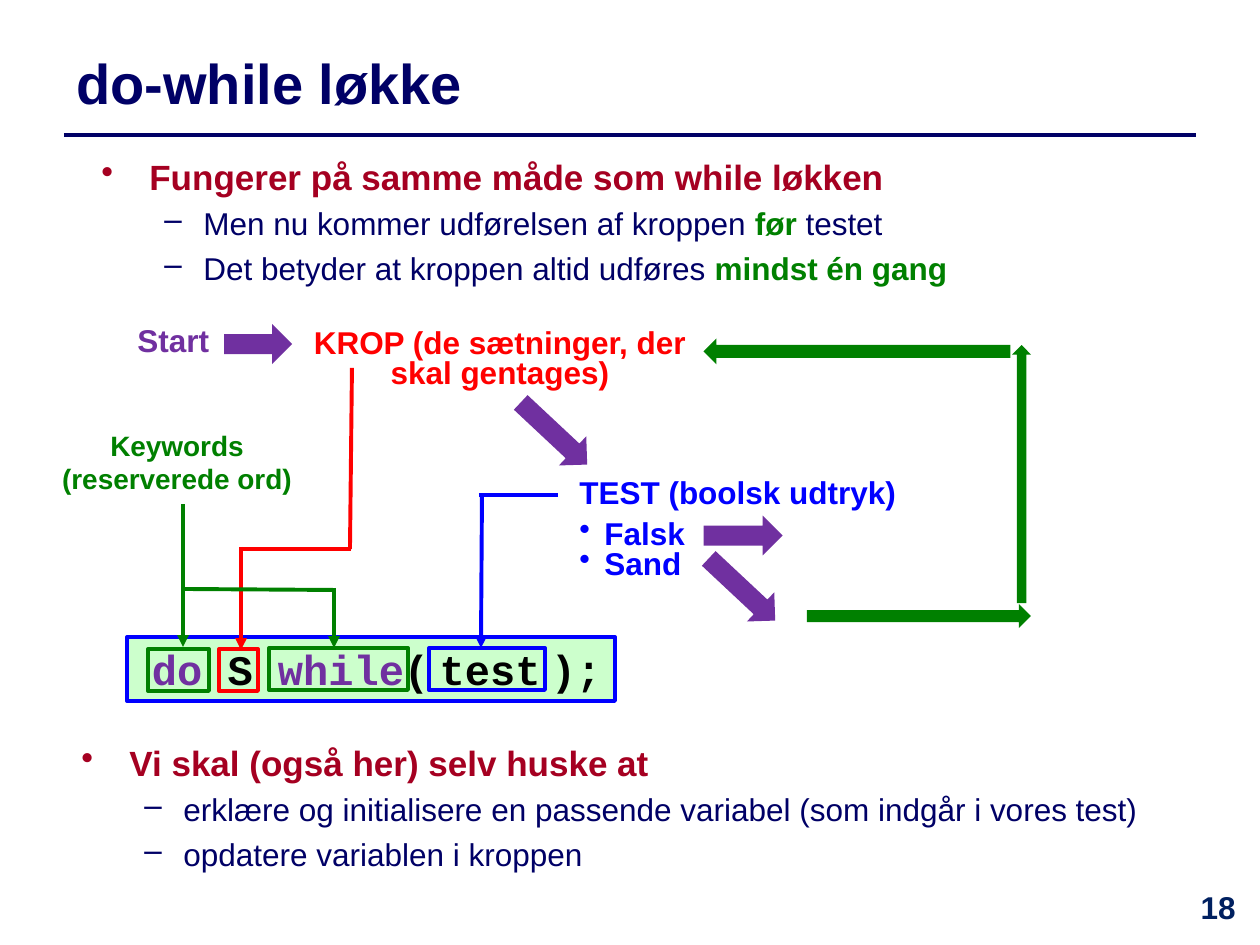
from lxml import etree
from pptx import Presentation
from pptx.dml.color import RGBColor
from pptx.enum.shapes import MSO_CONNECTOR, MSO_SHAPE
from pptx.enum.text import MSO_ANCHOR, PP_ALIGN
from pptx.oxml.ns import qn
from pptx.util import Pt

PX = 914400 / 126
RECTANGLE, DOWN_ARROW = MSO_SHAPE.RECTANGLE, MSO_SHAPE.DOWN_ARROW
STRAIGHT = MSO_CONNECTOR.STRAIGHT
LEFT, CENTER, MIDDLE = PP_ALIGN.LEFT, PP_ALIGN.CENTER, MSO_ANCHOR.MIDDLE
NAVY, CRIMSON, GREEN, BLUE = "000066", "A50021", "008000", "0000FF"
RED, PURPLE, BLACK = "FF0000", "7030A0", "000000"
INDENTS = {"main": ("•", 48, 48, 0), "sub": ("–", 102, 39, 1), "choice": ("•", 25, 25, 0)}

color = RGBColor.from_string


def px(*lengths):
    return [round(length * PX) for length in lengths]


def write(frame, paragraphs, align=LEFT, font="Arial"):
    frame.word_wrap = True
    for i, (level, before, spacing, runs) in enumerate(paragraphs):
        paragraph = frame.paragraphs[0] if i == 0 else frame.add_paragraph()
        paragraph.alignment = align
        paragraph.space_before = Pt(before)
        paragraph.line_spacing = spacing
        if level:
            mark, margin, hanging, depth = INDENTS[level]
            paragraph.level = depth
            properties = paragraph._p.get_or_add_pPr()
            properties.set("marL", str(px(margin)[0]))
            properties.set("indent", str(-px(hanging)[0]))
            bullet = etree.SubElement(properties, qn("a:buChar"))
            bullet.set("char", mark)
        for text, size, ink, bold in runs:
            run = paragraph.add_run()
            run.text = text
            run.font.name = font
            run.font.size = Pt(size)
            run.font.bold = bold
            run.font.color.rgb = color(ink)


presentation = Presentation()
presentation.slide_width, presentation.slide_height = px(1260, 945)
slide = presentation.slides.add_slide(presentation.slide_layouts[6])
shapes = slide.shapes

statement = shapes.add_shape(RECTANGLE, *px(127, 637, 488, 64))
statement.shadow.inherit = False
statement.fill.solid()
statement.fill.fore_color.rgb = color("CCFFCC")
statement.line.color.rgb = color(BLUE)
statement.line.width = Pt(2.25)
statement.text_frame.margin_left = px(25)[0]
statement.text_frame.vertical_anchor = MSO_ANCHOR.TOP
code = [("do", 24, PURPLE, True), (" S ", 24, BLACK, True), ("while", 24, PURPLE, True),
        ("(", 24, BLACK, True), (" ", 10, BLACK, True), ("test", 24, BLACK, True),
        (" ", 10, BLACK, True), (");", 24, BLACK, True)]
write(statement.text_frame, [(None, 0, None, code)], font="Courier New")

title = shapes.add_textbox(*px(64, 35, 1131, 95)).text_frame
title.vertical_anchor = MIDDLE
write(title, [(None, 0, None, [("do-while løkke", 32, NAVY, True)])])

labels = [
    ((1176, 882, 84, 63), "18", 18, "002060", CENTER, None),
    ((280, 324, 440, 87), "KROP (de sætninger, der skal gentages)", 18, RED, CENTER, 0.8),
    ((34, 422, 286, 107), "Keywords (reserverede ord)", 16, GREEN, CENTER, None),
    ((125, 315, 118, 49), "Start", 18, PURPLE, LEFT, None),
]
for box, text, size, ink, align, spacing in labels:
    label = shapes.add_textbox(*px(*box)).text_frame
    write(label, [(None, 0, spacing, [(text, size, ink, True)])], align)

lists = [
    ((567, 467, 360, 121), [
        (None, 0, None, [("TEST (boolsk udtryk)", 18, BLUE, True)]),
        ("choice", 6, 0.8, [("Falsk", 18, BLUE, True)]),
        ("choice", 0, 0.8, [("Sand", 18, BLUE, True)])]),
    ((89, 149, 1131, 149), [
        ("main", 0, None, [("Fungerer på samme måde som while løkken", 20, CRIMSON, True)]),
        ("sub", 4, None, [("Men nu kommer udførelsen af kroppen ", 18, NAVY, False),
                          ("før", 18, GREEN, True), (" testet", 18, NAVY, False)]),
        ("sub", 4, None, [("Det betyder at kroppen altid udføres ", 18, NAVY, False),
                          ("mindst én gang", 18, GREEN, True)])]),
    ((69, 735, 1131, 145), [
        ("main", 0, None, [("Vi skal (også her) selv huske at", 20, CRIMSON, True)]),
        ("sub", 4, None, [("erklære og initialisere en passende variabel "
                           "(som indgår i vores test)", 18, NAVY, False)]),
        ("sub", 4, None, [("opdatere variablen i kroppen", 18, NAVY, False)])]),
]
for box, paragraphs in lists:
    write(shapes.add_textbox(*px(*box)).text_frame, paragraphs)

code_frames = [((148, 649, 61, 42), GREEN), ((219, 649, 39, 42), RED),
               ((269, 648, 139, 42), GREEN), ((429, 648, 116, 42), BLUE)]
for box, ink in code_frames:
    code_frame = shapes.add_shape(RECTANGLE, *px(*box))
    code_frame.shadow.inherit = False
    code_frame.fill.background()
    code_frame.line.color.rgb = color(ink)
    code_frame.line.width = Pt(2.25)

flow_arrows = [
    ((238, 310, 40, 68), 270, PURPLE),
    ((534, 388, 40, 91), 313.1, PURPLE),
    ((723, 496, 40, 79), 270, PURPLE),
    ((722, 544, 40, 91), 313.1, PURPLE),
    ((907, 504, 24, 224), 270, GREEN),
    ((1012, 345, 19, 258), 180, GREEN),
    ((844, 198, 26, 307), 90, GREEN),
]
for box, rotation, ink in flow_arrows:
    flow_arrow = shapes.add_shape(DOWN_ARROW, *px(*box))
    flow_arrow.shadow.inherit = False
    flow_arrow.rotation = rotation
    flow_arrow.fill.solid()
    flow_arrow.fill.fore_color.rgb = color(ink)
    flow_arrow.line.fill.background()

pointers = [
    ((64, 135, 1196, 135), NAVY, 2, False),
    ((352, 368, 350, 549), RED, 2.25, False),
    ((351, 549, 241, 549), RED, 2.25, False),
    ((241, 547, 241, 650), RED, 2.25, True),
    ((479, 495, 558, 495), BLUE, 2.25, False),
    ((482, 495, 481, 648), BLUE, 2.25, True),
    ((183, 504, 183, 647), GREEN, 2.25, True),
    ((183, 589, 334, 590), GREEN, 2.25, False),
    ((334, 588, 334, 648), GREEN, 2.25, True),
]
for ends, ink, width, pointed in pointers:
    pointer = shapes.add_connector(STRAIGHT, *px(*ends))
    pointer.line.color.rgb = color(ink)
    pointer.line.width = Pt(width)
    properties = pointer._element.spPr
    if pointed:
        etree.SubElement(properties.find(qn("a:ln")), qn("a:tailEnd")).set("type", "triangle")
    etree.SubElement(properties, qn("a:effectLst"))

presentation.save("out.pptx")
